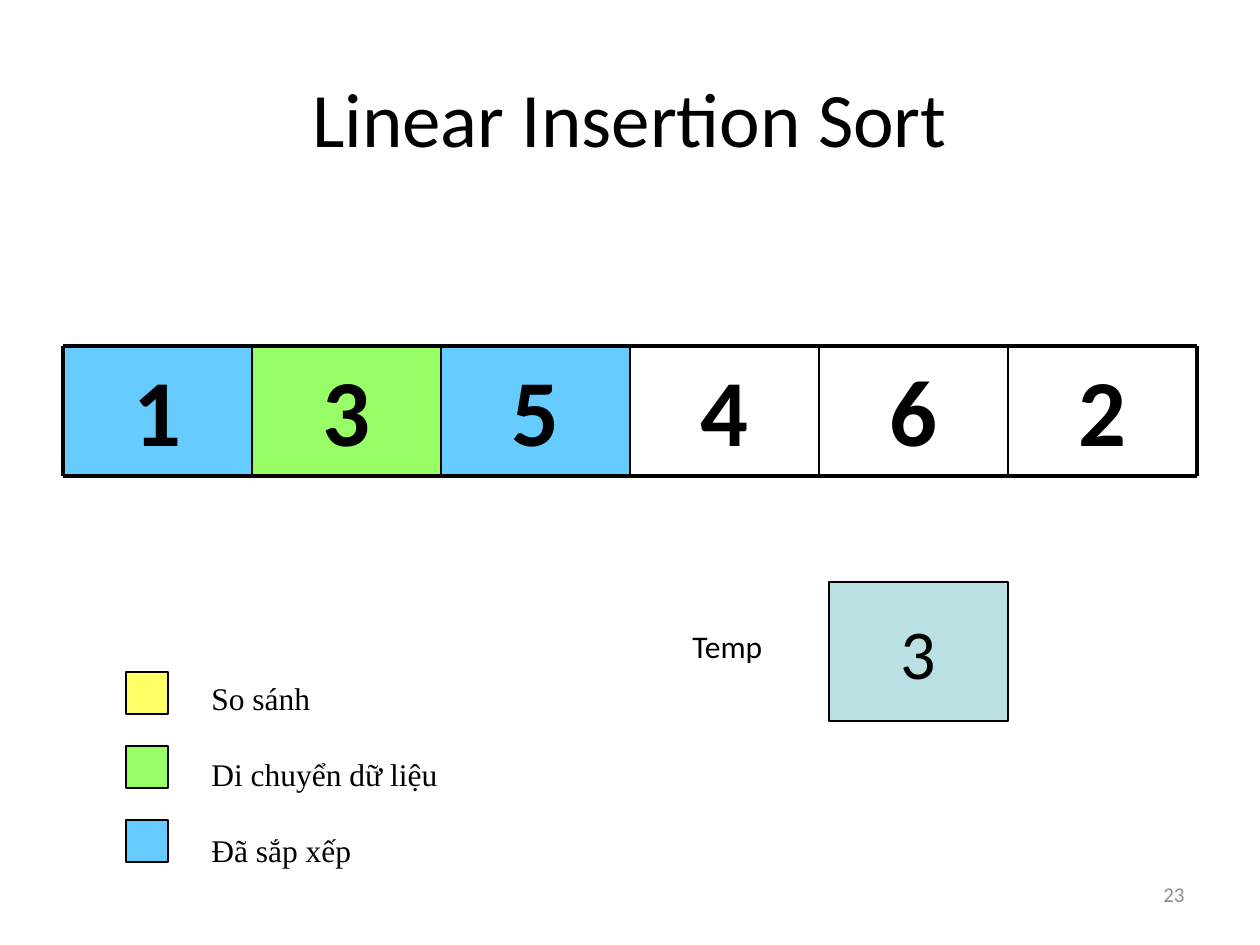
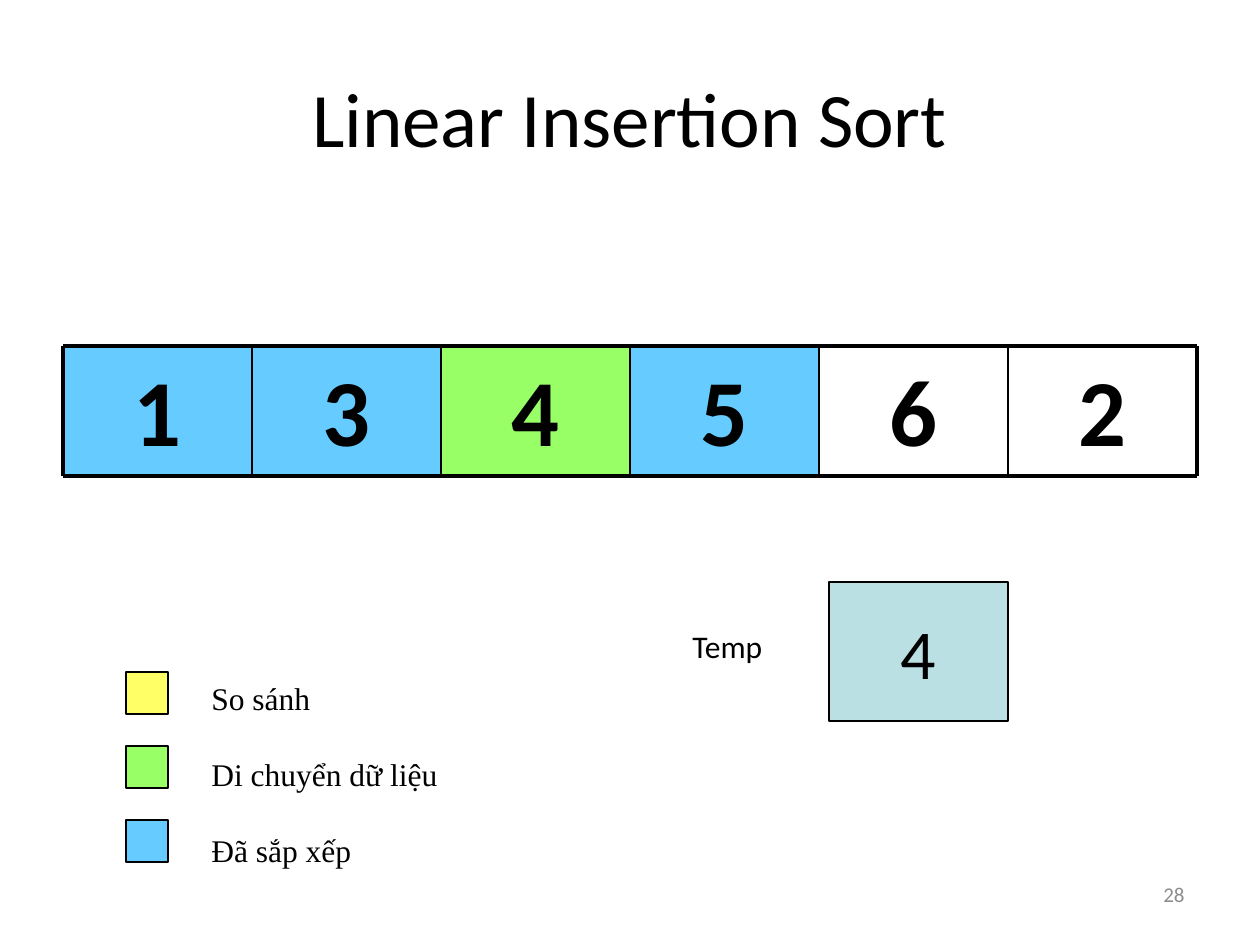
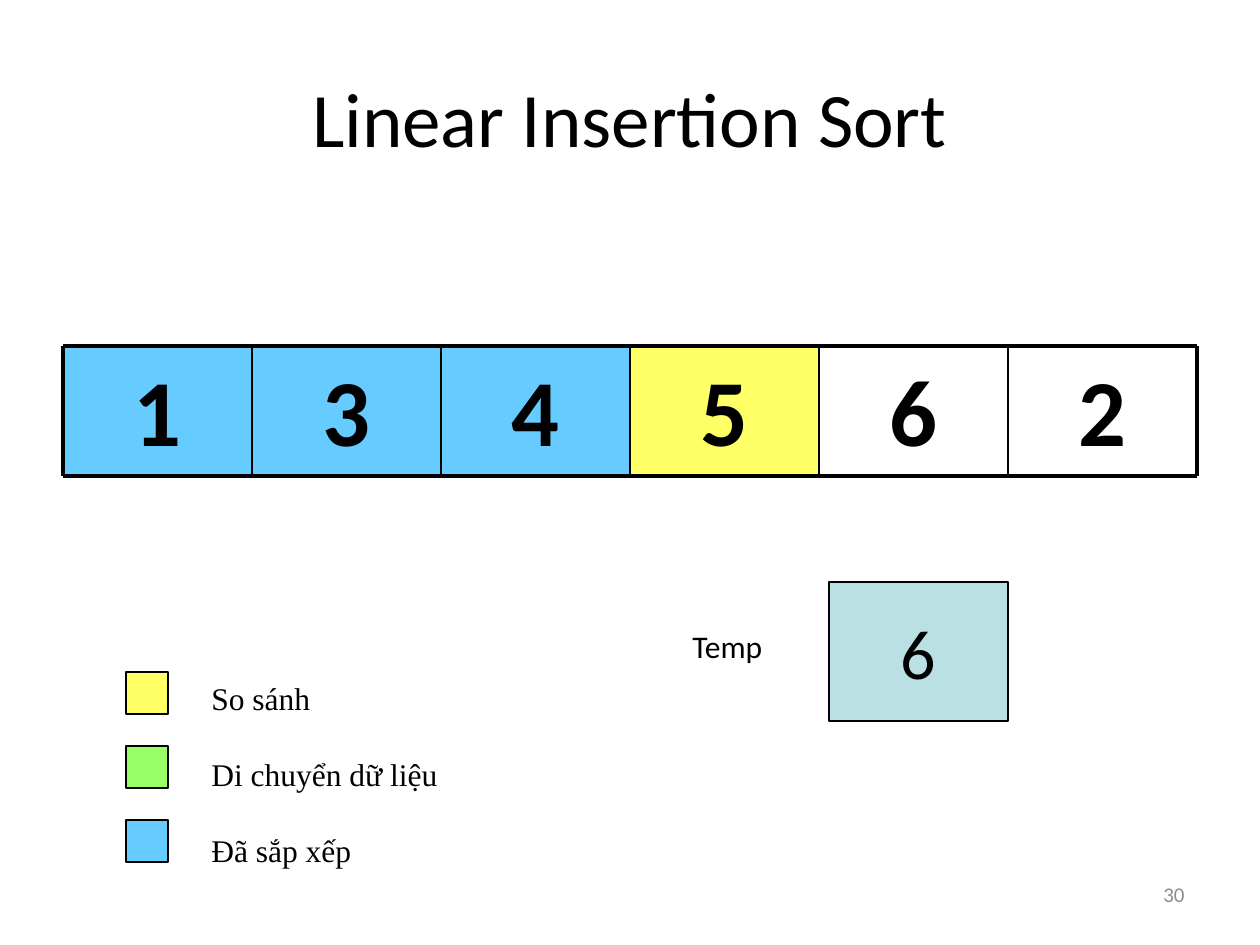
"""Build three steps of a linear insertion sort as slides."""
from lxml.etree import SubElement
from pptx import Presentation
from pptx.dml.color import RGBColor
from pptx.enum.shapes import MSO_CONNECTOR, MSO_SHAPE
from pptx.enum.text import MSO_ANCHOR as Anchor, MSO_AUTO_SIZE as AutoSize, PP_ALIGN as Align
from pptx.oxml.ns import qn
from pptx.util import Emu, Pt

PX_PER_INCH = 126
COLOURS = {
    "ink": "000000",
    "compare": "FFFF66",
    "move": "99FF66",
    "sorted": "66CCFF",
    "pending": "FFFFFF",
    "temp": "BBE0E3",
    "number": "8C8C8C",
}
LEGEND = {"compare": "So sánh", "move": "Di chuyển dữ liệu", "sorted": "Đã sắp xếp"}

TITLE_FONT = {"name": "Calibri", "size": Pt(44)}
CELL_FONT = {"name": "Calibri", "size": Pt(54), "bold": True}
TEMP_FONT = {"name": "Calibri", "size": Pt(40)}
LABEL_FONT = {"name": "Calibri", "size": Pt(18)}
LEGEND_FONT = {"name": "Times New Roman", "size": Pt(18)}
NUMBER_FONT = {"name": "Calibri", "size": Pt(12)}

CELL_PARAGRAPH = {"alignment": Align.CENTER, "space_before": Pt(13.5)}
CENTRED = {"alignment": Align.CENTER}
TOP_FRAME = {"word_wrap": True, "vertical_anchor": Anchor.TOP}
MIDDLE_FRAME = {"word_wrap": True, "vertical_anchor": Anchor.MIDDLE}
TEMP_FRAME = {"word_wrap": False, "vertical_anchor": Anchor.MIDDLE}
LABEL_FRAME = {"word_wrap": True, "auto_size": AutoSize.SHAPE_TO_FIT_TEXT}
LEGEND_FRAME = {"word_wrap": False, "auto_size": AutoSize.SHAPE_TO_FIT_TEXT}

ARRAY_LEFT, ARRAY_TOP, CELL_WIDTH, CELL_HEIGHT = 63, 346, 189, 130
LEGEND_LEFT, LEGEND_TOP, SWATCH, SWATCH_STEP = 126, 672, 42, 74

STEPS = [
    ("23", "3", [("1", "sorted"), ("3", "move"), ("5", "sorted"),
                 ("4", None), ("6", None), ("2", None)]),
    ("28", "4", [("1", "sorted"), ("3", "sorted"), ("4", "move"),
                 ("5", "sorted"), ("6", None), ("2", None)]),
    ("30", "6", [("1", "sorted"), ("3", "sorted"), ("4", "sorted"),
                 ("5", "compare"), ("6", "pending"), ("2", None)]),
]


def px(length):
    return Emu(round(length * 914400 / PX_PER_INCH))


def rgb(colour):
    return RGBColor.from_string(COLOURS[colour])


def apply(target, formats):
    for attribute, value in formats.items():
        setattr(target, attribute, value)


def write(holder, lines, font, paragraph_format, frame_format, colour="ink"):
    frame = holder.text_frame
    apply(frame, frame_format)
    frame.text = "\n".join(lines)
    for paragraph in frame.paragraphs:
        apply(paragraph, paragraph_format)
        for run in paragraph.runs:
            apply(run.font, font)
            run.font.color.rgb = rgb(colour)


def add_box(slide, bounds, colour, outlined=True):
    box = slide.shapes.add_shape(MSO_SHAPE.RECTANGLE, *map(px, bounds))
    box.shadow.inherit = False
    box.fill.solid()
    box.fill.fore_color.rgb = rgb(colour)
    if outlined:
        box.line.color.rgb = rgb("ink")
        box.line.width = Pt(0.75)
    else:
        box.line.fill.background()
    return box


def add_label(slide, bounds, *text_parts, **options):
    label = slide.shapes.add_textbox(*map(px, bounds))
    write(label, *text_parts, **options)


def add_rule(slide, ends, width):
    rule = slide.shapes.add_connector(MSO_CONNECTOR.STRAIGHT, *map(px, ends))
    rule.line.color.rgb = rgb("ink")
    rule.line.width = Pt(width)
    SubElement(rule._element.spPr, qn("a:effectLst"))


def add_title(slide):
    title = slide.shapes.title
    apply(title, {"left": px(63), "top": px(38), "width": px(1134), "height": px(157)})
    write(title, ["Linear Insertion Sort"], TITLE_FONT, CENTRED, MIDDLE_FRAME)


def add_array(slide, cells):
    for index, (value, state) in enumerate(cells):
        bounds = (ARRAY_LEFT + index * CELL_WIDTH, ARRAY_TOP, CELL_WIDTH, CELL_HEIGHT)
        text_parts = ([value], CELL_FONT, CELL_PARAGRAPH, TOP_FRAME)
        if state:
            write(add_box(slide, bounds, state, outlined=False), *text_parts)
        else:
            add_label(slide, bounds, *text_parts)
    right = ARRAY_LEFT + len(cells) * CELL_WIDTH
    bottom = ARRAY_TOP + CELL_HEIGHT
    for y in (ARRAY_TOP, bottom):
        add_rule(slide, (ARRAY_LEFT, y, right, y), 2.25)
    for index in range(len(cells) + 1):
        x = ARRAY_LEFT + index * CELL_WIDTH
        add_rule(slide, (x, ARRAY_TOP, x, bottom), 2.25 if x in (ARRAY_LEFT, right) else 1)


def add_legend(slide):
    for index, state in enumerate(LEGEND):
        top = LEGEND_TOP + index * SWATCH_STEP
        add_box(slide, (LEGEND_LEFT, top, SWATCH, SWATCH), state)
    add_label(slide, (199, LEGEND_TOP, 253, 204), LEGEND.values(), LEGEND_FONT,
              {"line_spacing": Pt(22)}, LEGEND_FRAME)
    for paragraph in slide.shapes[-1].text_frame.paragraphs[1:]:
        paragraph.space_before = Pt(21.5)


def add_temp(slide, value):
    holder = add_box(slide, (829, 582, 179, 139), "temp")
    write(holder, [value], TEMP_FONT, CENTRED, TEMP_FRAME)
    add_label(slide, (680, 621, 129, 50), ["Temp"], LABEL_FONT,
              {"space_before": Pt(11.2)}, LABEL_FRAME)


def add_number(slide, number):
    add_label(slide, (903, 861, 294, 66), [number], NUMBER_FONT,
              {"alignment": Align.RIGHT}, MIDDLE_FRAME, colour="number")


def main():
    deck = Presentation()
    apply(deck, {"slide_width": px(1260), "slide_height": px(945)})
    for number, temp, cells in STEPS:
        slide = deck.slides.add_slide(deck.slide_layouts[5])
        add_title(slide)
        add_array(slide, cells)
        add_legend(slide)
        add_temp(slide, temp)
        add_number(slide, number)
    deck.save("out.pptx")


if __name__ == "__main__":
    main()
